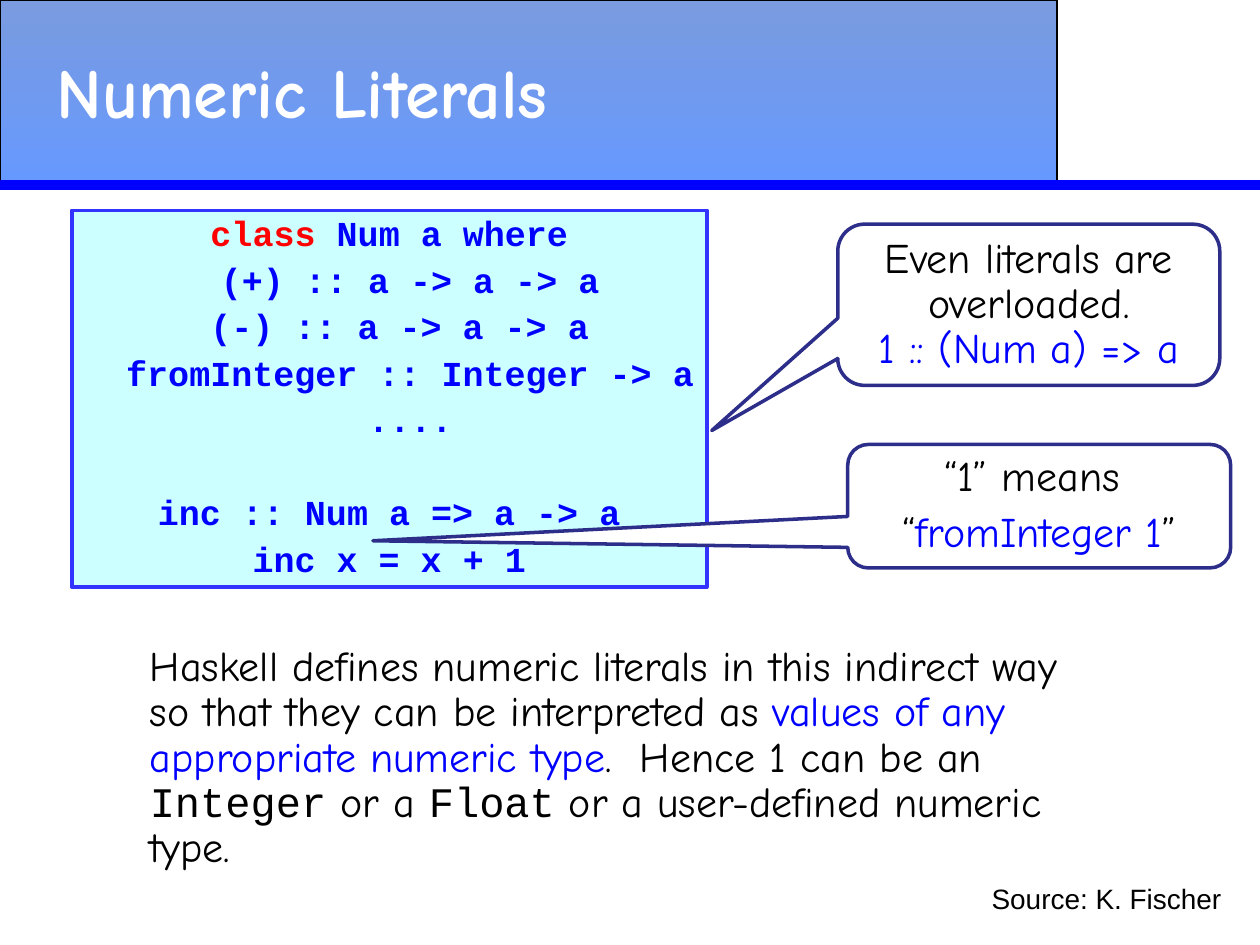
from pptx import Presentation
from pptx.dml.color import RGBColor
from pptx.enum.shapes import MSO_CONNECTOR, MSO_SHAPE
from pptx.enum.text import MSO_ANCHOR, PP_ALIGN
from pptx.oxml.ns import qn
from pptx.util import Cm, Pt
from lxml import etree

RECT = MSO_SHAPE.RECTANGLE
CALLOUT = MSO_SHAPE.ROUNDED_RECTANGULAR_CALLOUT
LEFT, CENTER = PP_ALIGN.LEFT, PP_ALIGN.CENTER
TOP, MIDDLE = MSO_ANCHOR.TOP, MSO_ANCHOR.MIDDLE

BLACK = RGBColor(0x00, 0x00, 0x00)
WHITE = RGBColor(0xFF, 0xFF, 0xFF)
BLUE = RGBColor(0x00, 0x00, 0xFF)
RED = RGBColor(0xFF, 0x00, 0x00)
BAND_TOP = RGBColor(0x7A, 0x9B, 0xDF)
BAND_BOTTOM = RGBColor(0x66, 0x99, 0xFF)
CODE_FILL = RGBColor(0xCC, 0xFF, 0xFF)
CODE_LINE = RGBColor(0x33, 0x33, 0xFF)
CALLOUT_LINE = RGBColor(0x2D, 0x2D, 0x8A)

HAND, MONO, SANS = "Comic Neue", "Courier New", "Arial"


def write(sp, paragraphs, size, font, align=LEFT, anchor=TOP, bold=False,
          gap=0, spacing=0.9, wrap=True):
    """Fill sp with paragraphs, each a list of (text, colour[, font]) runs."""
    tf = sp.text_frame
    tf.word_wrap = wrap
    tf.vertical_anchor = anchor
    for i, runs in enumerate(paragraphs):
        p = tf.paragraphs[0] if i == 0 else tf.add_paragraph()
        p.alignment = align
        p.line_spacing = spacing
        p.space_before = Pt(gap if i else 0)
        for text, color, *own_font in runs:
            r = p.add_run()
            r.text = text
            r.font.size = Pt(size)
            r.font.bold = bold
            r.font.name = own_font[0] if own_font else font
            r.font.color.rgb = color


def add_box(slide, kind, box, line, width, fill=None):
    sp = slide.shapes.add_shape(kind, *map(Cm, box))
    sp.shadow.inherit = False
    sp.line.color.rgb = line
    sp.line.width = Pt(width)
    if fill is not None:
        sp.fill.solid()
        sp.fill.fore_color.rgb = fill
    return sp


def add_text(slide, box, paragraphs, size, font, **options):
    sp = slide.shapes.add_textbox(*map(Cm, box))
    write(sp, paragraphs, size, font, **options)


def add_callout(slide, box, tip, paragraphs, gap=0):
    """Speech bubble; tip is the pointer's offset from the centre."""
    sp = add_box(slide, CALLOUT, box, CALLOUT_LINE, 2, WHITE)
    sp.adjustments[0], sp.adjustments[1] = tip
    write(sp, paragraphs, 24, HAND, align=CENTER, anchor=MIDDLE, gap=gap)


def add_header(slide, title):
    band = add_box(slide, RECT, (0, 0, 21.31, 3.73), BLACK, 0.75)
    band.fill.gradient()
    band.fill.gradient_angle = 270
    for stop, color in zip(band.fill.gradient_stops, (BAND_TOP, BAND_BOTTOM)):
        stop.color.rgb = color
    rule = slide.shapes.add_connector(
        MSO_CONNECTOR.STRAIGHT, 0, Cm(3.73), Cm(25.4), Cm(3.73))
    rule.line.color.rgb = BLUE
    rule.line.width = Pt(6)
    etree.SubElement(rule._element.spPr, qn("a:effectLst"))
    add_text(slide, (0.89, 0.33, 19.2, 3), [[(title, WHITE)]], 40, HAND,
             anchor=MIDDLE, bold=True, spacing=1)


def add_code(slide, box, paragraphs, block_start):
    """Code panel; the paragraph at block_start is set off by one line."""
    sp = add_box(slide, RECT, box, CODE_LINE, 2, CODE_FILL)
    write(sp, paragraphs, 20, MONO, align=CENTER, bold=True, gap=5, wrap=False)
    sp.text_frame.paragraphs[block_start].space_before = Pt(31.5)


def main():
    prs = Presentation()
    prs.slide_width, prs.slide_height = Cm(25.4), Cm(19.05)
    slide = prs.slides.add_slide(prs.slide_layouts[6])

    add_header(slide, "Numeric Literals")

    body = ["  (+) :: a -> a -> a",
            "  (-) :: a -> a -> a ",
            "  fromInteger :: Integer -> a",
            "  ....",
            "inc :: Num a => a -> a",
            "inc x = x + 1"]
    code = [[("class ", RED), ("Num a where", BLUE)]]
    code += [[(line, BLUE)] for line in body]
    add_code(slide, (1.45, 4.24, 12.8, 7.6), code, block_start=5)

    add_callout(slide, (16.89, 4.52, 7.7, 3.25), (-0.83, 0.78),
                [[("Even literals are overloaded.", BLACK)],
                 [("1 :: (Num a) => a", BLUE)]])
    add_callout(slide, (17.09, 8.96, 7.72, 2.49), (-1.74, 0.28),
                [[("“1” means ", BLACK)],
                 [("“", BLACK), ("fromInteger 1", BLUE), ("”", BLACK)]], gap=6)

    add_text(slide, (2.77, 12.88, 19.86, 4.83), [[
        ("Haskell defines numeric literals in this indirect way "
         "so that they can be interpreted as ", BLACK),
        ("values of any appropriate numeric type", BLUE),
        (".  Hence 1 can be an ", BLACK),
        ("Integer", BLACK, MONO),
        (" or a ", BLACK),
        ("Float", BLACK, MONO),
        (" or a user-defined numeric type.", BLACK)]], 24, HAND)
    add_text(slide, (19.74, 17.73, 5.13, 0.86),
             [[("Source: K. Fischer", BLACK)]], 16, SANS,
             align=CENTER, wrap=False)

    prs.save("out.pptx")


if __name__ == "__main__":
    main()
